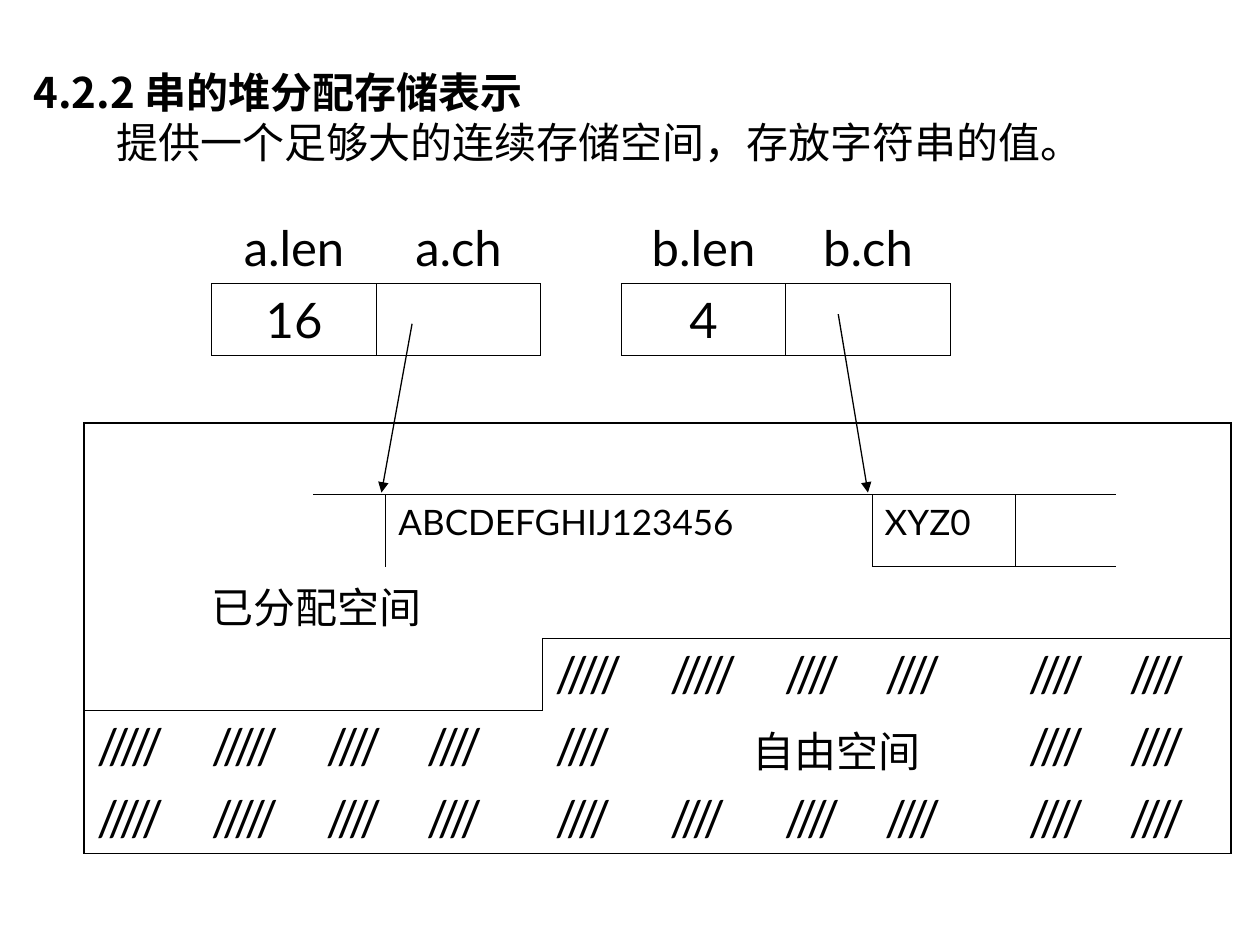
"""Build a slide on the heap-allocated storage of strings."""
import pptx
import pptx.dml.color
import pptx.enum.shapes
import pptx.enum.text
import pptx.oxml.ns
import pptx.oxml.xmlchemy
import pptx.util

Pt = pptx.util.Pt
CENTER = pptx.enum.text.PP_ALIGN.CENTER
LEFT = pptx.enum.text.PP_ALIGN.LEFT


def colour(value):
    return pptx.dml.color.RGBColor.from_string(value)


def add_element(parent, tag, **attributes):
    element = pptx.oxml.xmlchemy.OxmlElement(tag)
    for name, value in attributes.items():
        element.set(name, value)
    parent.append(element)
    return element


class SlideBuilder:
    latin = "Lato"
    asian = "Noto Sans CJK SC"
    ink = "000000"
    thin = 0.45
    thick = 1.08

    def __init__(self, page):
        self.page = page

    def set_text(self, para, text, size, align=LEFT, bold=False, latin=None):
        para.text = text
        para.alignment = align
        font = para.font
        font.size = Pt(size)
        font.bold = bold
        font.color.rgb = colour(self.ink)
        font.name = latin or self.latin
        latin_element = para._p.pPr.find(".//" + pptx.oxml.ns.qn("a:latin"))
        asian_element = pptx.oxml.xmlchemy.OxmlElement("a:ea")
        asian_element.set("typeface", self.asian)
        latin_element.addnext(asian_element)

    def heading(self, left, top, width, height, title, body, indent):
        box = self.page.shapes.add_textbox(Pt(left), Pt(top), Pt(width), Pt(height))
        frame = box.text_frame
        frame.word_wrap = True
        self.set_text(frame.paragraphs[0], title, 24, bold=True, latin=self.asian)
        para = frame.add_paragraph()
        para._p.get_or_add_pPr().set("marL", str(Pt(indent)))
        self.set_text(para, body, 24)

    def table(self, left, top, widths, height, rows, texts, spans, lines):
        shape = self.page.shapes.add_table(
            rows, len(widths), Pt(left), Pt(top), Pt(sum(widths)), Pt(rows * height))
        table = shape.table
        table.first_row = table.horz_banding = False
        for column, width in zip(table.columns, widths):
            column.width = Pt(width)
        for row in table.rows:
            row.height = Pt(height)
        for row, first, last in spans:
            table.cell(row, first).merge(table.cell(row, last))
        for (row, column), (text, size, align) in texts.items():
            cell = table.cell(row, column)
            if size == 24:
                cell.margin_top, cell.margin_bottom = Pt(5), Pt(0)
            self.set_text(cell.text_frame.paragraphs[0], text, size, align)
        self.borders(table, lines)

    def borders(self, table, lines):
        edges = {}
        for top, left, bottom, right, width in lines:
            for column in range(left, right):
                edges[top, column, "T"] = edges[top - 1, column, "B"] = width
            if left == right:
                for row in range(top, bottom):
                    edges[row, right, "L"] = edges[row, right - 1, "R"] = width
                    origin = right - 1
                    while origin > 0 and table.cell(row, origin).is_spanned:
                        origin -= 1
                    edges[row, origin, "R"] = width
        for row in range(len(table.rows)):
            for column in range(len(table.columns)):
                cell = table.cell(row, column)
                cell.fill.background()
                for index, side in enumerate("LRTB"):
                    self.border(cell, index, side, edges.get((row, column, side)))

    def border(self, cell, index, side, width):
        line = pptx.oxml.xmlchemy.OxmlElement("a:ln" + side)
        if width:
            line.set("w", str(Pt(width)))
            fill = add_element(line, "a:solidFill")
            add_element(fill, "a:srgbClr", val=self.ink)
        else:
            add_element(line, "a:noFill")
        cell._tc.get_or_add_tcPr().insert(index, line)

    def arrow(self, start, end):
        line = self.page.shapes.add_connector(
            pptx.enum.shapes.MSO_CONNECTOR.STRAIGHT, *map(Pt, start + end))
        line.line.color.rgb = colour(self.ink)
        line.line.width = Pt(0.75)
        add_element(line.line._get_or_add_ln(), "a:tailEnd", type="triangle")
        add_element(line._element.spPr, "a:effectLst")


def box_lines(top, left, bottom, right, width):
    return [(top, left, top, right, width), (bottom, left, bottom, right, width),
            (top, left, bottom, left, width), (top, right, bottom, right, width)]


def descriptor(builder, left, name, length):
    texts = {(0, 0): (name + ".len", 28, CENTER), (0, 1): (name + ".ch", 28, CENTER),
             (1, 0): (length, 28, CENTER)}
    lines = box_lines(1, 0, 2, 2, builder.thin) + [(1, 1, 2, 1, builder.thin)]
    builder.table(left, 121, [94, 94], 41, 2, texts, [], lines)


def heap(builder):
    widths = [65.5, 65.5, 41.5, 16, 73.5, 65.5, 65.5, 57.5, 82, 57.5, 65.5]
    texts = {(1, 3): ("ABCDEFGHIJ123456", 20, LEFT), (1, 8): ("XYZ0", 20, LEFT),
             (2, 1): ("已分配空间", 24, LEFT), (4, 6): ("自由空间", 24, CENTER)}
    free = {3: range(5, 11), 4: (0, 1, 2, 4, 5, 9, 10), 5: (0, 1, 2, *range(4, 11))}
    five_strokes = {(3, 5), (3, 6), (4, 0), (4, 1), (5, 0), (5, 1)}
    for row, columns in free.items():
        for column in columns:
            strokes = 5 if (row, column) in five_strokes else 4
            texts[row, column] = ("/" * strokes, 28, LEFT)
    spans = [(0, 3, 4), (1, 3, 7), (2, 1, 4), (3, 2, 3), (4, 2, 3), (4, 6, 8), (5, 2, 3)]
    segments = [(1, 2, 1, 10), (2, 5, 2, 10), (3, 5, 3, 11), (4, 0, 4, 5),
                (1, 3, 2, 3), (1, 8, 2, 8), (1, 9, 2, 9), (3, 5, 4, 5)]
    lines = [segment + (builder.thin,) for segment in segments]
    lines += box_lines(0, 0, 6, 11, builder.thick)
    builder.table(48, 241.75, widths, 41, 6, texts, spans, lines)


def main():
    deck = pptx.Presentation()
    deck.slide_width, deck.slide_height = Pt(720), Pt(540)
    builder = SlideBuilder(deck.slides.add_slide(deck.slide_layouts[6]))
    builder.heading(12, 34.5, 702, 88, "4.2.2 串的堆分配存储表示",
                    "提供一个足够大的连续存储空间，存放字符串的值。", 47.5)
    descriptor(builder, 121, "a", "16")
    descriptor(builder, 355, "b", "4")
    heap(builder)
    builder.arrow((235.5, 185), (218, 281.5))
    builder.arrow((479, 179.5), (496, 281.5))
    deck.save("out.pptx")


if __name__ == "__main__":
    main()
